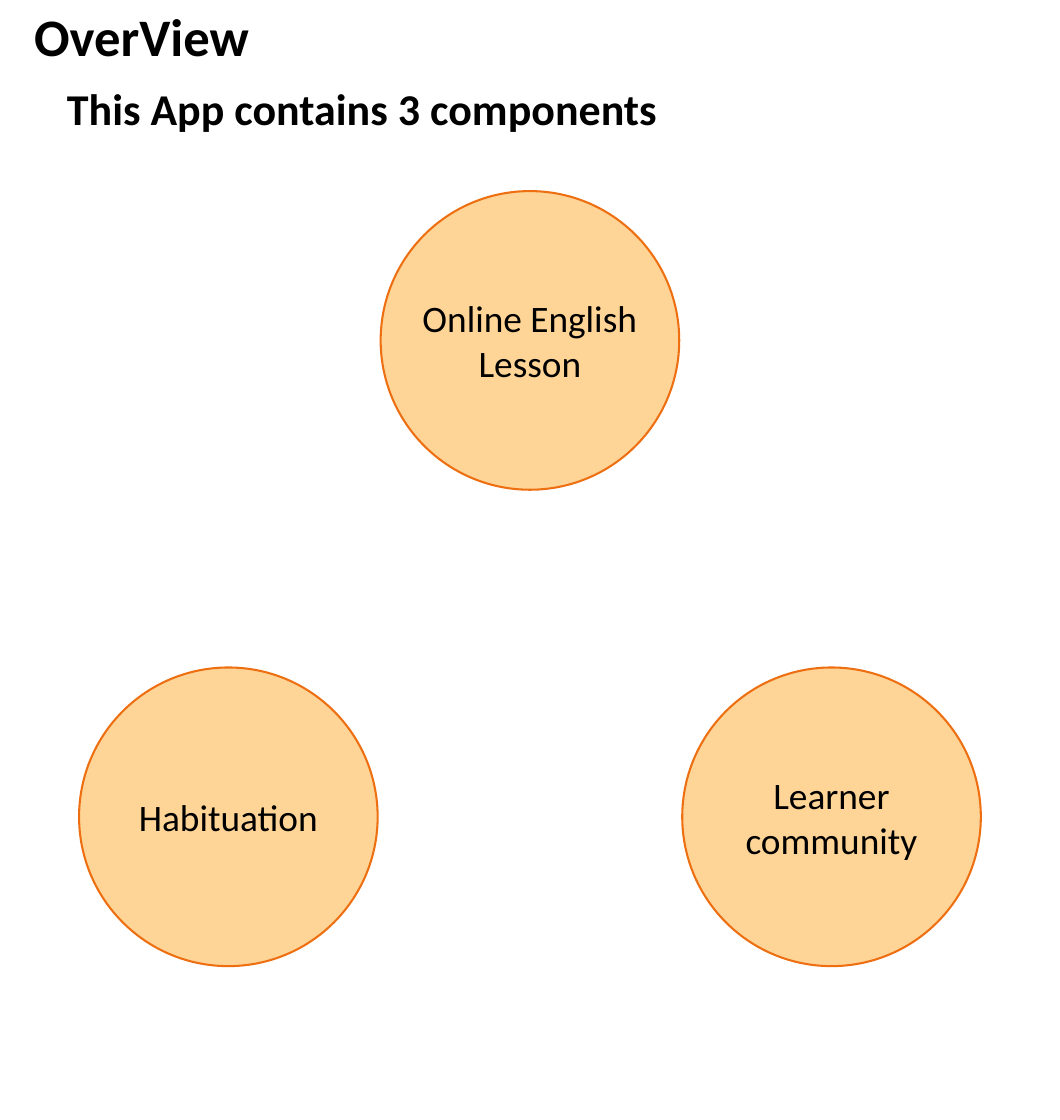
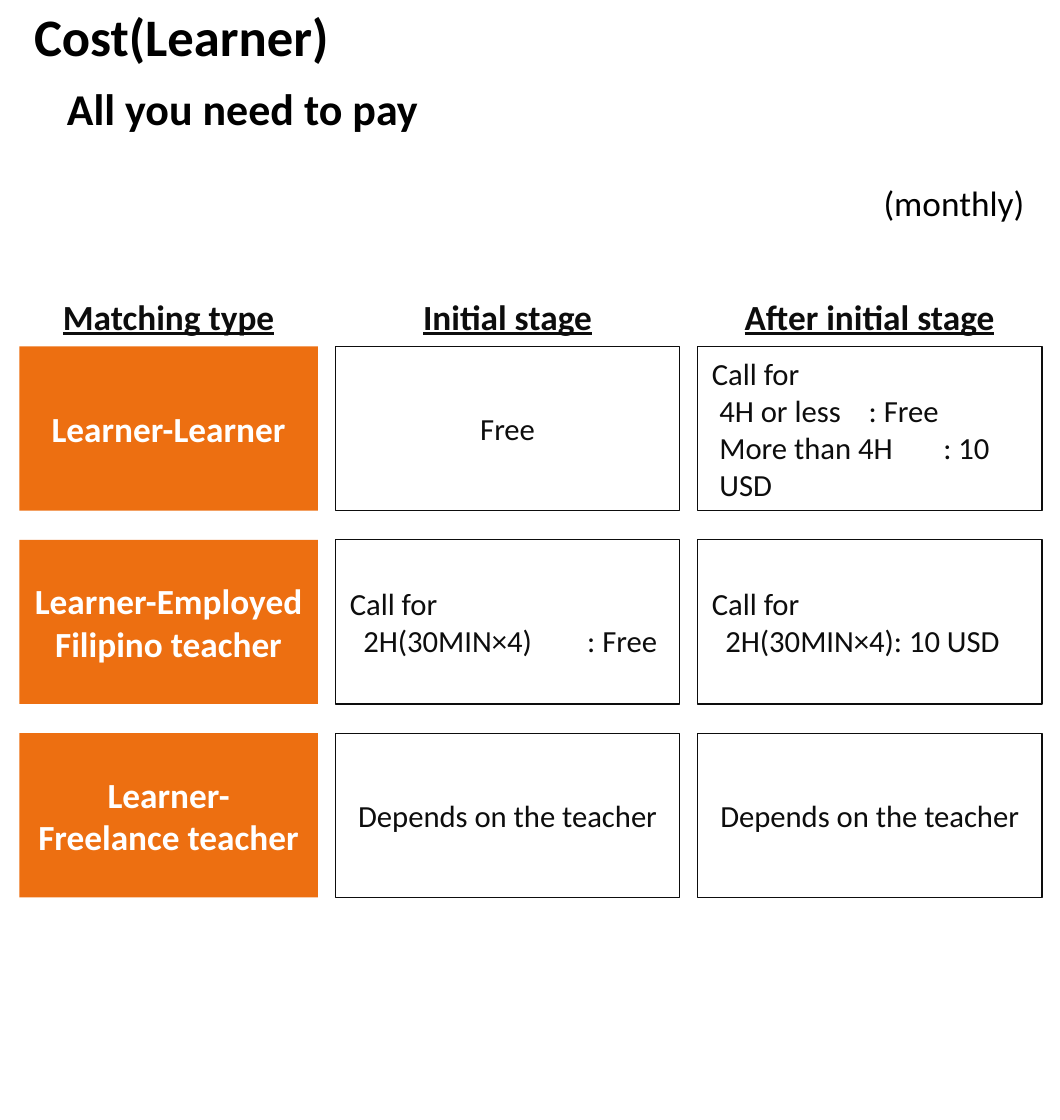
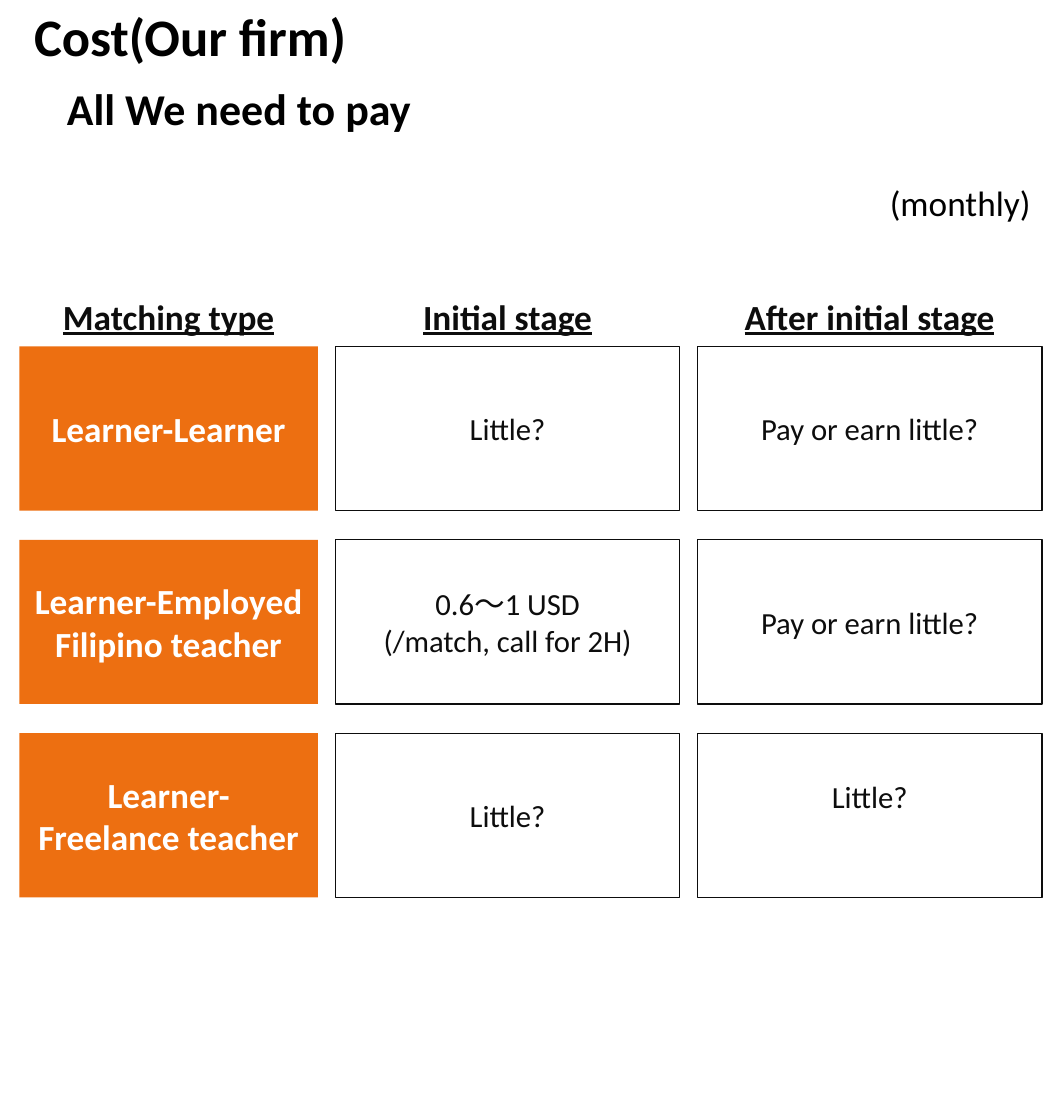
"""Build three slides on the components and costs of a language-learning app."""
from pptx import Presentation
from pptx.dml.color import RGBColor
from pptx.enum.shapes import MSO_SHAPE as Preset
from pptx.enum.text import MSO_ANCHOR as Anchor, PP_ALIGN as Align
from pptx.oxml.ns import qn
from pptx.util import Inches, Pt
from lxml.etree import SubElement

COLORS = {"white": "FFFFFF", "black": "000000", "ink": "0D0D0D",
          "orange": "ED6F11", "peach": "FFD597"}
HEADINGS = ["Matching type", "Initial stage", "After initial stage"]
MATCHINGS = ["Learner-Learner", "Learner-Employed\nFilipino teacher",
             "Learner-\nFreelance teacher"]


class Deck:
    """Hold the shared style, a grid of 71 columns by 75 rows, and the current slide."""

    FONT = "Calibri"
    COLUMNS, ROWS = 71, 75
    MARGIN, GAP = 1.3, 1.15
    WIDTHS = [20, 23.1, 23.1]
    HEADING_TOP, HEADING_HEIGHT = 19.2, 3.9
    TABLE_TOP, ROW_PITCH, CELL_HEIGHT = 23.2, 12.95, 11

    def __init__(self):
        self.presentation = Presentation()
        self.presentation.slide_width = Inches(7.1)
        self.presentation.slide_height = Inches(7.5)
        self.column = self.presentation.slide_width / self.COLUMNS
        self.row = self.presentation.slide_height / self.ROWS
        self.slide = None

    def place(self, left, top, width, height):
        return (round(left * self.column), round(top * self.row),
                round(width * self.column), round(height * self.row))

    def set_text(self, shape, text, size, color, align, bold=False, underline=None, wrap=True):
        frame = shape.text_frame
        frame.text = text
        frame.word_wrap = wrap
        frame.vertical_anchor = Anchor.MIDDLE
        for paragraph in frame.paragraphs:
            paragraph.alignment = align
            for run in paragraph.runs:
                font = run.font
                font.name, font.size, font.bold = self.FONT, Pt(size), bold
                font.underline = underline
                font.color.rgb = RGBColor.from_string(COLORS[color])

    def shape(self, preset, area, fill=None, line=None, weight=1):
        shape = self.slide.shapes.add_shape(preset, *self.place(*area))
        shape.shadow.inherit = False
        for format_fill, color in ((shape.fill, fill), (shape.line.fill, line)):
            if color:
                format_fill.solid()
                format_fill.fore_color.rgb = RGBColor.from_string(COLORS[color])
            else:
                format_fill.background()
        if line:
            shape.line.width = Pt(weight)
        return shape

    def label(self, area, text, size, bold=True):
        shape = self.shape(Preset.RECTANGLE, area, "white", "white")
        self.set_text(shape, text, size, "black", Align.LEFT, bold)
        return shape

    def start(self, title, title_width, subtitle, subtitle_width):
        self.slide = self.presentation.slides.add_slide(self.presentation.slide_layouts[6])
        self.label((3.5, 3.8, subtitle_width, 6.9), subtitle, 21.2)
        self.label((self.MARGIN, 0.1, title_width, 4.5), title, 25.4)

    def circle(self, center, top, text):
        shape = self.shape(Preset.OVAL, (center - 10, top, 20, 20), "peach", "orange")
        self.set_text(shape, text, 18, "black", Align.CENTER, wrap=False)

    def period(self, left, inset):
        shape = self.label((left, 10.9, 69.8 - left, 5.3), "(monthly)", 17, bold=False)
        shape.text_frame.margin_left = shape.text_frame.margin_right = Inches(inset)

    def left_of(self, index):
        return self.MARGIN + sum(self.WIDTHS[:index]) + index * self.GAP

    def heading(self, index, text):
        area = (self.left_of(index), self.HEADING_TOP, self.WIDTHS[index], self.HEADING_HEIGHT)
        box = self.slide.shapes.add_textbox(*self.place(*area))
        self.set_text(box, text, 17, "ink", Align.CENTER, bold=True, underline=True)

    def cell_area(self, index, row):
        return (self.left_of(index), self.TABLE_TOP + row * self.ROW_PITCH,
                self.WIDTHS[index], self.CELL_HEIGHT)

    def matching(self, row, text):
        shape = self.shape(Preset.RECTANGLE, self.cell_area(0, row), "orange")
        self.set_text(shape, text, 17, "white", Align.CENTER, bold=True)

    def cell(self, index, row, text, align=Align.CENTER):
        shape = self.shape(Preset.RECTANGLE, self.cell_area(index, row), line="ink", weight=0.5)
        self.set_text(shape, text, 14.8, "ink", align)
        return shape

    def terms(self, index, row, text, indent, tab):
        shape = self.cell(index, row, text, Align.LEFT)
        for paragraph in shape.text_frame.paragraphs[1:]:
            properties = paragraph._p.get_or_add_pPr()
            properties.set("marL", str(Inches(indent)))
            properties.set("indent", "0")
            stops = SubElement(properties, qn("a:tabLst"))
            SubElement(stops, qn("a:tab"), pos=str(Inches(tab)), algn="l")

    def cost_frame(self):
        for index, text in enumerate(HEADINGS):
            self.heading(index, text)
        for row, text in enumerate(MATCHINGS):
            self.matching(row, text)


def overview(deck):
    deck.start("OverView", 32, "This App contains 3 components", 48)
    middle, offset = deck.COLUMNS / 2, 20.2
    deck.circle(middle, 12.8, "Online English\nLesson")
    deck.circle(middle - offset, 44.7, "Habituation")
    deck.circle(middle + offset, 44.7, "Learner\ncommunity")


def learner_cost(deck):
    deck.start("Cost(Learner)", 25.4, "All you need to pay", 38.6)
    deck.period(58.2, 0.1)
    deck.cost_frame()
    deck.cell(1, 0, "Free")
    deck.terms(2, 0, "Call for\n4H or less\t: Free\nMore than 4H\t: 10 USD", 0.05, 1.26)
    deck.terms(1, 1, "Call for\n2H(30MIN×4)\t: Free", 0.09, 1.33)
    deck.terms(2, 1, "Call for\n2H(30MIN×4): 10 USD", 0.09, 1.46)
    for index in (1, 2):
        deck.cell(index, 2, "Depends on the teacher")


def firm_cost(deck):
    deck.start("Cost(Our firm)", 32, "All We need to pay", 32)
    deck.period(59.6, 0)
    deck.cost_frame()
    deck.cell(1, 0, "Little?")
    deck.cell(1, 1, "0.6～1 USD\n(/match, call for 2H)")
    deck.cell(1, 2, "Little?")
    for row in (0, 1):
        deck.cell(2, row, "Pay or earn little?")
    raised = deck.cell(2, 2, "Little?")
    raised.text_frame.margin_bottom = Inches(0.3)


def main():
    deck = Deck()
    for build in (overview, learner_cost, firm_cost):
        build(deck)
    deck.presentation.save("out.pptx")


if __name__ == "__main__":
    main()
